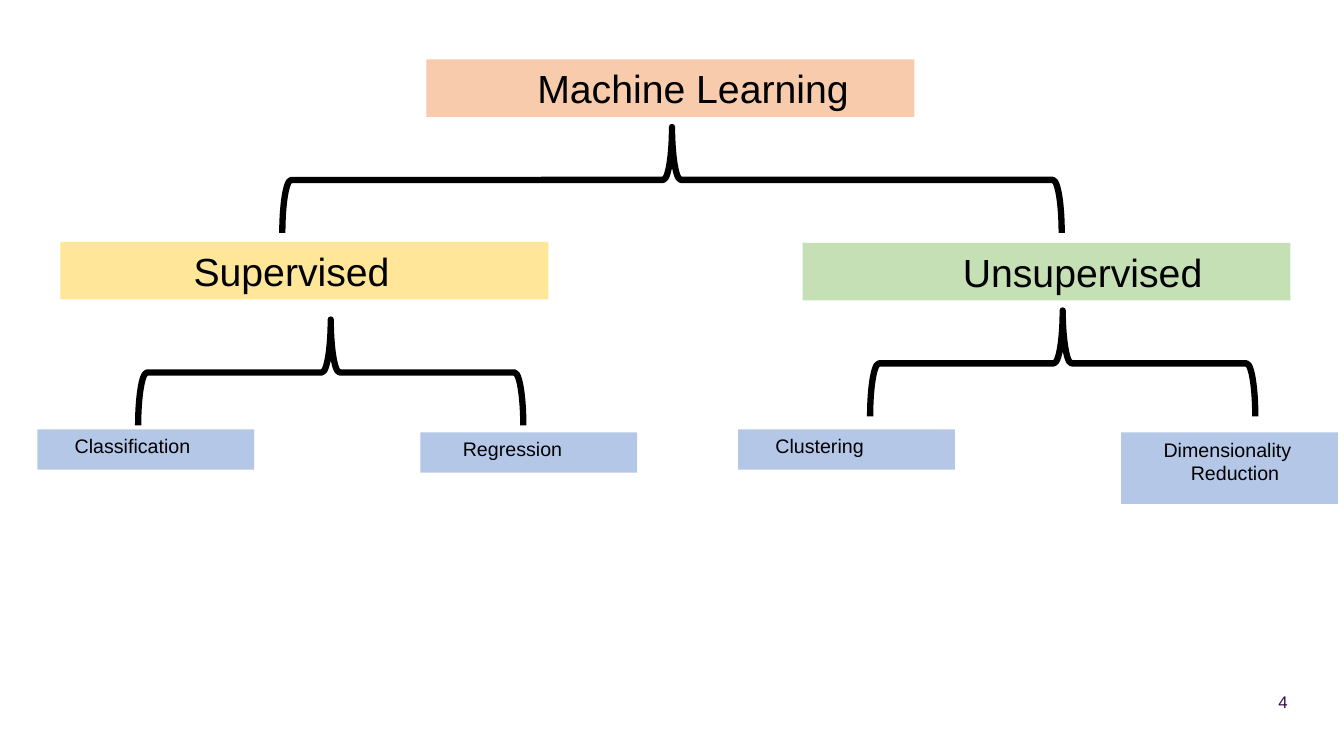
from pptx import Presentation
from pptx import util as u
from pptx.dml import color
from pptx.enum import shapes, text


def rgb(value):
    return color.RGBColor.from_string(value)


def add_line(paragraph, words, size, ink="000000"):
    run = paragraph.add_run()
    run.text = words
    run.font.name = "Arial"
    run.font.size = u.Pt(size)
    run.font.color.rgb = rgb(ink)


def add_label(slide, box, fill, lines, size, inset, step=0):
    shape = slide.shapes.add_shape(
        shapes.MSO_SHAPE.RECTANGLE, *(u.Inches(length) for length in box))
    shape.shadow.inherit = False
    shape.fill.solid()
    shape.fill.fore_color.rgb = rgb(fill)
    shape.line.fill.background()
    frame = shape.text_frame
    frame.word_wrap = True
    frame.vertical_anchor = text.MSO_ANCHOR.TOP
    frame.margin_left = u.Inches(inset)
    for index, words in enumerate(lines):
        paragraph = frame.add_paragraph() if index else frame.paragraphs[0]
        paragraph.alignment = text.PP_ALIGN.LEFT
        if index:
            properties = paragraph._p.get_or_add_pPr()
            properties.set("marL", str(u.Inches(step * index)))
            properties.set("indent", "0")
        add_line(paragraph, words, size)


def add_brace(slide, box):
    left, top, width, height = box
    shape = slide.shapes.add_shape(
        shapes.MSO_SHAPE.LEFT_BRACE,
        u.Inches(left + (width - height) / 2), u.Inches(top + (height - width) / 2),
        u.Inches(height), u.Inches(width))
    shape.rotation = 90
    shape.shadow.inherit = False
    shape.fill.background()
    shape.line.color.rgb = rgb("000000")
    shape.line.width = u.Pt(4.5)


def add_heading(slide, left, top, fill, words, inset):
    add_label(slide, (left, top, 4.84, 0.57), fill, [words], 28, inset)


def add_method(slide, left, top, lines, inset):
    height = 0.4 if len(lines) == 1 else 0.71
    add_label(slide, (left, top, 2.15, height), "B4C7E7", lines, 14, inset, 0.27)


def add_branch(slide, heading, brace, methods):
    add_heading(slide, *heading)
    add_brace(slide, (*brace, 3.82, 1.05))
    for method in methods:
        add_method(slide, *method)


def add_page_number(slide, box, number):
    frame = slide.shapes.add_textbox(*(u.Inches(length) for length in box)).text_frame
    frame.word_wrap = True
    frame.vertical_anchor = text.MSO_ANCHOR.MIDDLE
    paragraph = frame.paragraphs[0]
    paragraph.alignment = text.PP_ALIGN.RIGHT
    add_line(paragraph, number, 12, "3B054F")


def main():
    presentation = Presentation()
    presentation.slide_width = u.Inches(13.33)
    presentation.slide_height = u.Inches(7.5)
    slide = presentation.slides.add_slide(presentation.slide_layouts[6])
    add_page_number(slide, (12.42, 6.76, 0.45, 0.4), "4")
    add_heading(slide, 4.23, 0.59, "F8CBAD", "Machine Learning", 1.1)
    add_brace(slide, (2.8, 1.26, 7.73, 1.05))
    add_branch(
        slide, (0.6, 2.4, "FFE699", "Supervised", 1.32), (1.37, 3.17),
        [(0.37, 4.26, ["Classification"], 0.37),
         (4.17, 4.29, ["Regression"], 0.42)])
    add_branch(
        slide, (7.96, 2.41, "C5E0B4", "Unsupervised", 1.59), (8.63, 3.08),
        [(7.32, 4.26, ["Clustering"], 0.37),
         (11.12, 4.29, ["Dimensionality", "Reduction"], 0.42)])
    presentation.save("out.pptx")


if __name__ == "__main__":
    main()
